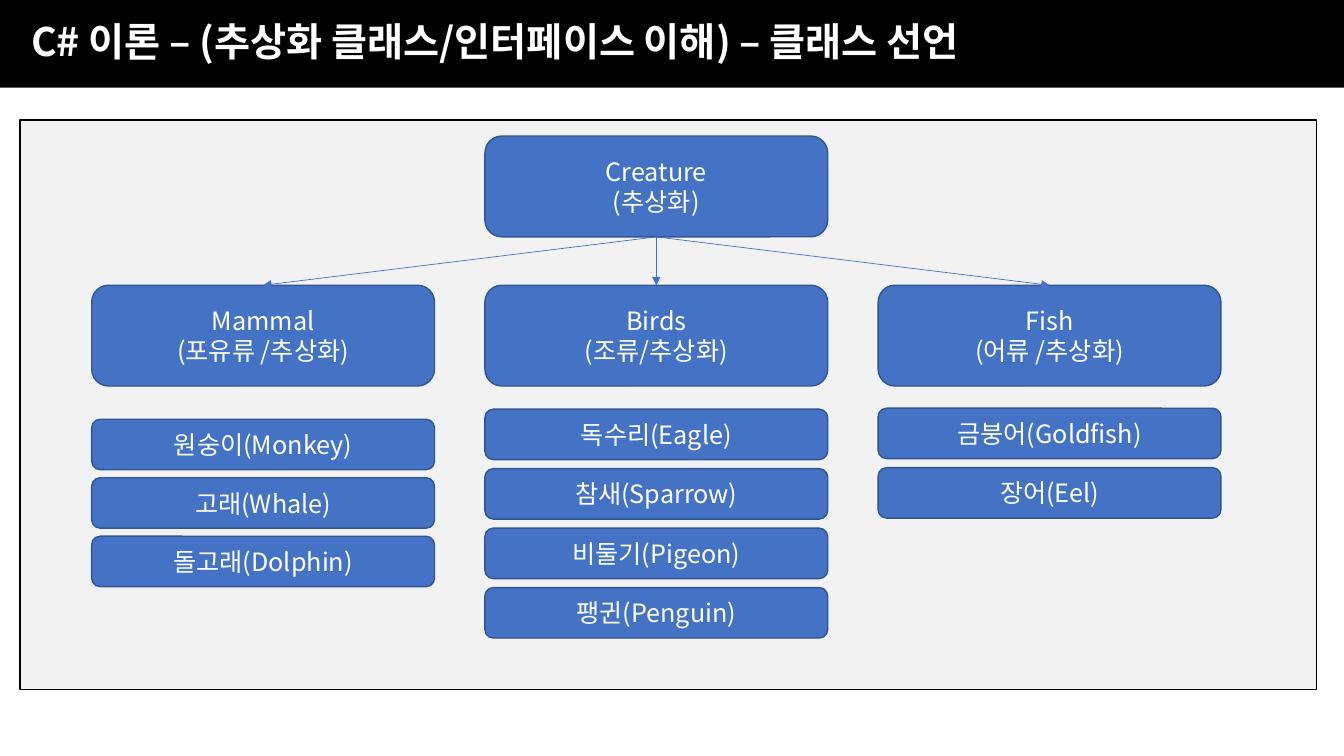
from lxml import etree
from pptx import Presentation
from pptx.dml.color import RGBColor
from pptx.enum.shapes import MSO_CONNECTOR, MSO_SHAPE
from pptx.enum.text import MSO_ANCHOR, PP_ALIGN
from pptx.oxml.ns import qn
from pptx.util import Inches, Pt

RECTANGLE, ROUNDED = MSO_SHAPE.RECTANGLE, MSO_SHAPE.ROUNDED_RECTANGLE
STRAIGHT = MSO_CONNECTOR.STRAIGHT
MIDDLE = MSO_ANCHOR.MIDDLE
LEFT, CENTER = PP_ALIGN.LEFT, PP_ALIGN.CENTER

WIDTH, HEIGHT = 13.33, 7.5
ROOT_TOP, BRANCH_TOP = 1.35, 2.83
CLASS_HEIGHT, MEMBER_HEIGHT = 1, 0.5
ROOT_COLUMN = 1

TITLE = "C# 이론 – (추상화 클래스/인터페이스 이해) – 클래스 선언"
ROOT = "Creature\n(추상화)"
# Branch name, top of its first member, step between members, members
BRANCHES = [
    ("Mammal\n(포유류 /추상화)", 4.16, 0.58,
     ["원숭이(Monkey)", "고래(Whale)", "돌고래(Dolphin)"]),
    ("Birds\n(조류/추상화)", 4.06, 0.59,
     ["독수리(Eagle)", "참새(Sparrow)", "비둘기(Pigeon)", "팽귄(Penguin)"]),
    ("Fish\n(어류 /추상화)", 4.05, 0.59,
     ["금붕어(Goldfish)", "장어(Eel)"]),
]


def color(hex_text):
    return RGBColor.from_string(hex_text)


def set_values(target, values):
    for name, value in values.items():
        setattr(target, name, value)


class ClassDiagram:
    """Draws class boxes on a grid of equal columns."""

    font_name = "Noto Sans CJK KR"
    text_color, box_fill, box_line = "FFFFFF", "4472C4", "325491"
    grid_left, column_step, box_width = 0.91, 3.9, 3.4

    def __init__(self, slide):
        self.slide = slide

    def column_left(self, column):
        return self.grid_left + column * self.column_step

    def column_center(self, column):
        return self.column_left(column) + self.box_width / 2

    def block(self, kind, left, top, width, height, fill, line=None):
        shape = self.slide.shapes.add_shape(
            kind, *map(Inches, (left, top, width, height)))
        shape.shadow.inherit = False
        shape.fill.solid()
        shape.fill.fore_color.rgb = color(fill)
        if line:
            shape.line.color.rgb = color(line)
            shape.line.width = Pt(1)
        else:
            shape.line.fill.background()
        return shape

    def label(self, shape, text, size, bold=False, frame=None, paragraph=None):
        """Fill a shape with text; frame and paragraph hold extra format values."""
        text_frame = shape.text_frame
        set_values(text_frame, {"word_wrap": True, "vertical_anchor": MIDDLE, **(frame or {})})
        text_frame.text = text
        for line in text_frame.paragraphs:
            set_values(line, {"alignment": CENTER, **(paragraph or {})})
            for run in line.runs:
                set_values(run.font, {"name": self.font_name, "size": Pt(size), "bold": bold})
                run.font.color.rgb = color(self.text_color)
                east_asian = etree.SubElement(run._r.get_or_add_rPr(), qn("a:ea"))
                east_asian.set("typeface", self.font_name)

    def title(self, text):
        bar = self.block(RECTANGLE, 0, 0, WIDTH, 0.87, "000000")
        self.label(bar, text, 28, bold=True,
                   frame={"margin_left": Inches(0.31)},
                   paragraph={"alignment": LEFT, "line_spacing": 0.9,
                              "space_before": Pt(10)})

    def box(self, text, column, top, height):
        shape = self.block(ROUNDED, self.column_left(column), top, self.box_width,
                           height, self.box_fill, self.box_line)
        self.label(shape, text, 18)

    def arrow(self, from_column, from_top, to_column, to_top):
        connector = self.slide.shapes.add_connector(
            STRAIGHT,
            Inches(self.column_center(from_column)), Inches(from_top),
            Inches(self.column_center(to_column)), Inches(to_top))
        connector.line.color.rgb = color(self.box_fill)
        connector.line.width = Pt(0.5)
        properties = connector._element.spPr
        etree.SubElement(properties.find(qn("a:ln")), qn("a:tailEnd")).set("type", "triangle")
        etree.SubElement(properties, qn("a:effectLst"))


def main():
    presentation = Presentation()
    presentation.slide_width = Inches(WIDTH)
    presentation.slide_height = Inches(HEIGHT)
    diagram = ClassDiagram(presentation.slides.add_slide(presentation.slide_layouts[6]))

    diagram.block(RECTANGLE, 0.2, 1.19, 12.86, 5.65, "F2F2F2", "000000")
    diagram.title(TITLE)
    diagram.box(ROOT, ROOT_COLUMN, ROOT_TOP, CLASS_HEIGHT)
    for column, (branch, first_top, step, members) in enumerate(BRANCHES):
        diagram.box(branch, column, BRANCH_TOP, CLASS_HEIGHT)
        diagram.arrow(ROOT_COLUMN, ROOT_TOP + CLASS_HEIGHT, column, BRANCH_TOP)
        for row, member in enumerate(members):
            diagram.box(member, column, first_top + row * step, MEMBER_HEIGHT)

    presentation.save("out.pptx")


if __name__ == "__main__":
    main()
